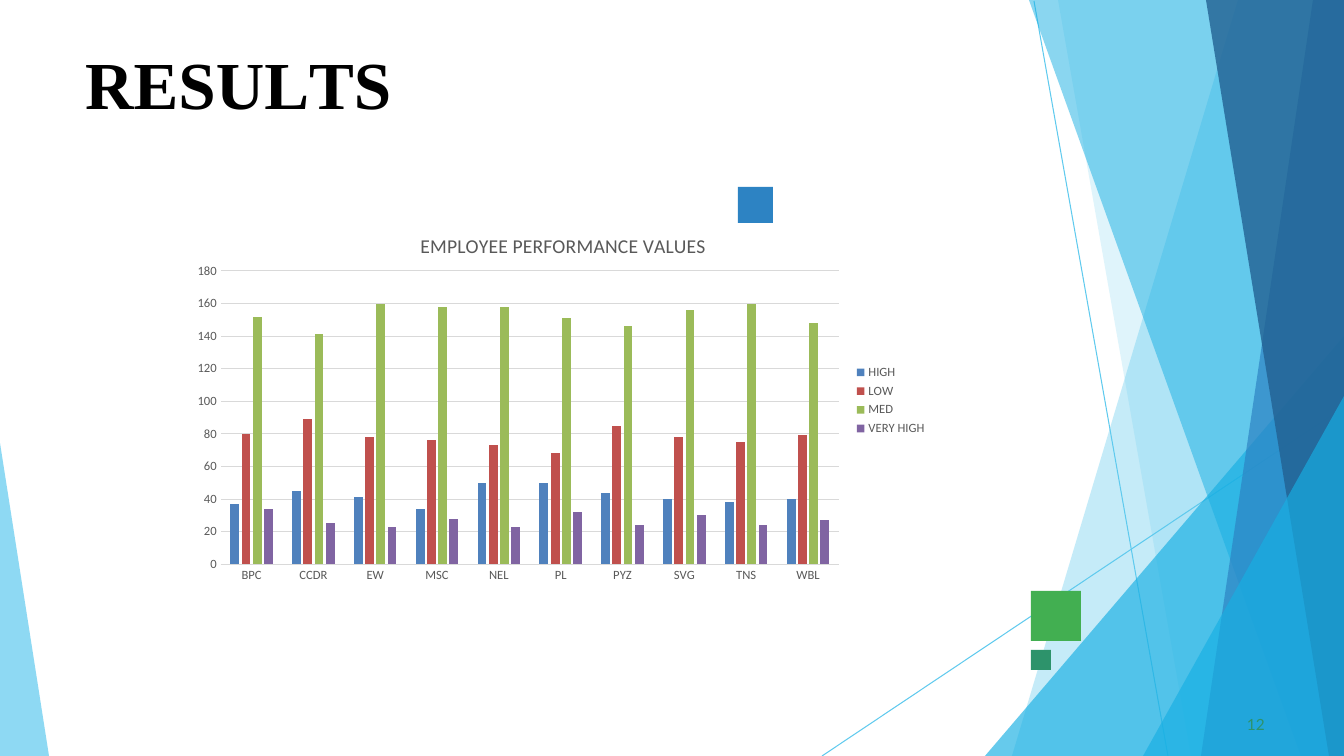
from lxml.etree import SubElement
from pptx import Presentation
from pptx.chart.data import CategoryChartData
from pptx.dml.color import RGBColor
from pptx.enum.chart import XL_CHART_TYPE as Kind, XL_LEGEND_POSITION as Side, XL_TICK_MARK as Tick
from pptx.enum.shapes import MSO_CONNECTOR as Link, MSO_SHAPE as Form
from pptx.enum.text import MSO_ANCHOR as Anchor, MSO_AUTO_SIZE as Fit, PP_ALIGN as Align
from pptx.oxml.ns import qn
from pptx.util import Pt

WIDE, HIGH = 1344, 756
PX = 12192000 / WIDE

HUES = {
    "sky": "5FCAEE", "cyan": "17AFE3", "blue": "2D83C3", "navy": "226192",
    "green": "42AF51", "teal": "2D936B", "black": "000000",
    "gray": "595959", "rule": "D9D9D9",
    "HIGH": "4F81BD", "LOW": "C0504D", "MED": "9BBB59", "VERY HIGH": "8064A2",
}
UNITS = ["BPC", "CCDR", "EW", "MSC", "NEL", "PL", "PYZ", "SVG", "TNS", "WBL"]
SCORES = {
    "HIGH": [37, 45, 41, 34, 50, 50, 44, 40, 38, 40],
    "LOW": [80, 89, 78, 76, 73, 68, 85, 78, 75, 79],
    "MED": [152, 141, 160, 158, 158, 151, 146, 156, 160, 148],
    "VERY HIGH": [34, 25, 23, 28, 23, 32, 24, 30, 24, 27],
}
# Top corner, foot, colour, opacity in percent; every band ends at the right edge
BANDS = [
    ((1238, 0), 1012, "sky", 36),
    ((1058, 0), 1191, "sky", 20),
    ((WIDE, 336), 985, "cyan", 66),
    ((1029, 0), 1301, "cyan", 50),
    ((1313, 0), 1201, "blue", 70),
    ((1206, 0), 1329, "navy", 80),
    ((WIDE, 396), 1143, "cyan", 66),
]
# Letters and their spacing in hundredths of a point
LETTERS = [("R", 0), ("E", -40), ("S", 10), ("U", -30), ("L", -400), ("TS", 0)]


def emu(*sizes):
    return [round(size * PX) for size in sizes]


def hue(name):
    return RGBColor.from_string(HUES[name])


def paint(shape, name, alpha=100):
    shape.shadow.inherit = False
    shape.line.fill.background()
    shape.fill.solid()
    shape.fill.fore_color.rgb = hue(name)
    if alpha < 100:
        color = shape.fill._xPr.find(".//" + qn("a:srgbClr"))
        SubElement(color, qn("a:alpha"), val=str(alpha * 1000))


def style(font, size, name, face):
    font.size, font.name = Pt(size), face
    font.color.rgb = hue(name)


def add_ray(slide, start, end):
    ray = slide.shapes.add_connector(Link.STRAIGHT, *emu(*start, *end))
    ray.line.color.rgb = hue("sky")
    ray.line.width = Pt(0.75)
    SubElement(ray._element.spPr, qn("a:effectLst"))


def add_patch(slide, points, name, alpha):
    pen = slide.shapes.build_freeform(*points[0], scale=PX)
    pen.add_line_segments(points[1:], close=True)
    paint(pen.convert_to_shape(), name, alpha)


def add_backdrop(slide):
    add_ray(slide, (1034, 1), (1168, HIGH))
    add_ray(slide, (WIDE, 407), (822, HIGH))
    for top, foot, name, alpha in BANDS:
        points = [top, (foot, HIGH), (WIDE, HIGH)]
        if top[0] < WIDE:
            points.append((WIDE, 0))
        add_patch(slide, points, name, alpha)
    add_patch(slide, [(0, 443), (0, HIGH), (49, HIGH)], "sky", 70)


def add_block(slide, box, name):
    paint(slide.shapes.add_shape(Form.RECTANGLE, *emu(*box)), name)


def set_frame(shape, left=0):
    """Trim the margins of a text shape and return its first paragraph."""
    frame = shape.text_frame
    frame.word_wrap = True
    frame.auto_size = Fit.SHAPE_TO_FIT_TEXT
    frame.vertical_anchor = Anchor.TOP
    frame.margin_left, frame.margin_top = emu(left, 1)
    frame.margin_right = frame.margin_bottom = 0
    para = frame.paragraphs[0]
    para.alignment = Align.LEFT
    return para


def add_title(slide, box):
    title = slide.shapes.title
    title.left, title.top, title.width, title.height = emu(*box)
    para = set_frame(title, 1)
    para.space_before = Pt(1.1)
    style(para.font, 48, "black", "Times New Roman")
    para.font.bold = True
    for text, gap in LETTERS:
        run = para.add_run()
        run.text = text
        run._r.get_or_add_rPr().set("spc", str(gap))


def add_number(slide, box):
    para = set_frame(slide.shapes.add_textbox(*emu(*box)), 4)
    para.text = "12"
    para.space_before = Pt(0.6)
    style(para.font, 11, "teal", "Lato")


def set_place(part, spot, **sides):
    """Put a manual layout, in shares of the chart, at child index spot."""
    old = part.find(qn("c:layout"))
    if old is not None:
        part.remove(old)
    layout = part.makeelement(qn("c:layout"))
    part.insert(spot, layout)
    manual = SubElement(layout, qn("c:manualLayout"))
    if "w" in sides:
        SubElement(manual, qn("c:layoutTarget"), val="inner")
    for mode in ("xMode", "yMode"):
        SubElement(manual, qn("c:" + mode), val="edge")
    for side, share in sides.items():
        SubElement(manual, qn("c:" + side), val=str(share))


def style_axes(chart):
    cats, vals = chart.category_axis, chart.value_axis
    for axis in (cats, vals):
        axis.major_tick_mark = axis.minor_tick_mark = Tick.NONE
        style(axis.tick_labels.font, 9, "gray", "Calibri")
    vals.minimum_scale, vals.maximum_scale, vals.major_unit = 0, 180, 20
    vals.format.line.fill.background()
    for line in (cats.format.line, vals.major_gridlines.format.line):
        line.color.rgb = hue("rule")
        line.width = Pt(0.75)


def add_columns(slide, box):
    data = CategoryChartData()
    data.categories = UNITS
    for name, scores in SCORES.items():
        data.add_series(name, scores)
    chart = slide.shapes.add_chart(Kind.COLUMN_CLUSTERED, *emu(*box), data).chart
    style(chart.font, 10, "black", "Calibri")

    head = chart.chart_title
    para = head.text_frame.paragraphs[0]
    para.text = "EMPLOYEE PERFORMANCE VALUES"
    style(para.font, 14, "gray", "Calibri")
    para.font.bold = False
    set_place(head._element, 1, x=0.31, y=0.05)

    plot = chart.plots[0]
    plot.gap_width, plot.overlap = 219, -27
    plot.vary_by_categories = False
    for series in plot.series:
        series.format.fill.solid()
        series.format.fill.fore_color.rgb = hue(series.name)
    set_place(chart._chartSpace.chart.plotArea, 0, x=0.05, y=0.16, w=0.82, h=0.77)
    style_axes(chart)

    chart.has_legend = True
    chart.legend.position = Side.RIGHT
    chart.legend.include_in_layout = False
    style(chart.legend.font, 9, "gray", "Calibri")


def main():
    deck = Presentation()
    deck.slide_width, deck.slide_height = emu(WIDE, HIGH)
    slide = deck.slides.add_slide(deck.slide_layouts[5])
    add_backdrop(slide)
    add_block(slide, (1031, 591, 50, 50), "green")
    add_block(slide, (738, 187, 35, 36), "blue")
    add_block(slide, (1031, 650, 20, 20), "teal")
    add_title(slide, (84, 41, 337, 83))
    add_number(slide, (1243, 714, 25, 21))
    add_columns(slide, (183, 210, 754, 381))
    deck.save("out.pptx")


if __name__ == "__main__":
    main()
